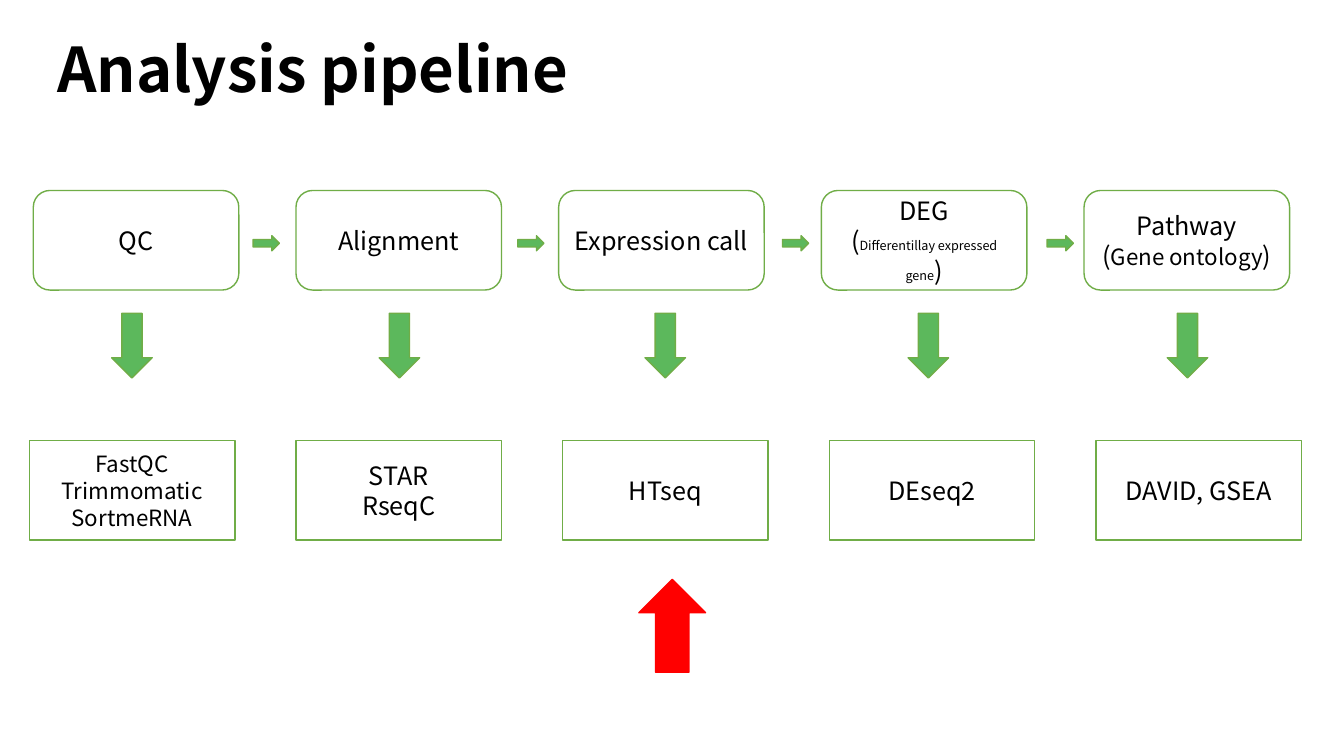
from pptx import Presentation
from pptx import util as u
from pptx.dml.color import RGBColor
from pptx.enum import shapes, text

FONT = "Noto Sans CJK KR"
BLACK = RGBColor(0x00, 0x00, 0x00)
WHITE = RGBColor(0xFF, 0xFF, 0xFF)
GREEN = RGBColor(0x5C, 0xB8, 0x5C)
OUTLINE = RGBColor(0x70, 0xAD, 0x47)
RED = RGBColor(0xFF, 0x00, 0x00)
KIND = shapes.MSO_SHAPE

TITLE = [[("Analysis pipeline", 44)]]
STEPS = [
    [[("QC", 18)]],
    [[("Alignment", 18)]],
    [[("Expression call", 18)]],
    [[("DEG", 18)], [("(", 18), ("Differentillay expressed gene", 9), (")", 18)]],
    [[("Pathway", 18)], [("(", 18), ("Gene ontology", 16), (")", 18)]],
]
TOOLS = [
    [[("FastQC", 16)], [("Trimmomatic", 16)], [("SortmeRNA", 16)]],
    [[("STAR", 18)], [("RseqC", 18)]],
    [[("HTseq", 18)]],
    [[("DEseq2", 18)]],
    [[("DAVID, GSEA", 18)]],
]
DOWN_LEFTS = [2.51, 9.25, 15.95, 22.58, 29.11]

BOX_WIDTH, BOX_HEIGHT = 5.18, 2.51
STEP_LEFT, STEP_TOP, STEP_PITCH = 0.84, 4.8, 6.62
TOOL_LEFT, TOOL_TOP, TOOL_PITCH = 0.74, 11.1, 6.72
NEXT_LEFT, NEXT_TOP, NEXT_PITCH = 6.38, 5.94, 6.67


def write(box, lines, align=text.PP_ALIGN.CENTER, bold=False, spacing=None):
    frame = box.text_frame
    frame.word_wrap = True
    frame.vertical_anchor = text.MSO_ANCHOR.MIDDLE
    for index, line in enumerate(lines):
        para = frame.paragraphs[0] if index == 0 else frame.add_paragraph()
        para.alignment = align
        para.line_spacing = spacing
        for words, size in line:
            span = para.add_run()
            span.text = words
            span.font.name = FONT
            span.font.size = u.Pt(size)
            span.font.bold = bold
            span.font.color.rgb = BLACK


def draw(page, kind, left, top, width, height, fill=GREEN, line=OUTLINE, turn=0):
    shape = page.shapes.add_shape(
        kind, u.Cm(left), u.Cm(top), u.Cm(width), u.Cm(height))
    shape.shadow.inherit = False
    shape.fill.solid()
    shape.fill.fore_color.rgb = fill
    shape.line.color.rgb = line
    shape.line.width = u.Pt(1)
    shape.rotation = turn
    return shape


def draw_row(page, kind, entries, left, top, pitch):
    for index, lines in enumerate(entries):
        box = draw(page, kind, left + index * pitch, top,
                   BOX_WIDTH, BOX_HEIGHT, fill=WHITE)
        write(box, lines)


def main():
    deck = Presentation()
    deck.slide_width, deck.slide_height = u.Cm(33.87), u.Cm(19.05)
    page = deck.slides.add_slide(deck.slide_layouts[6])

    draw_row(page, KIND.ROUNDED_RECTANGLE, STEPS, STEP_LEFT, STEP_TOP, STEP_PITCH)
    for index in range(len(STEPS) - 1):
        draw(page, KIND.RIGHT_ARROW, NEXT_LEFT + index * NEXT_PITCH, NEXT_TOP, 0.66, 0.38)

    title = page.shapes.add_textbox(u.Cm(1.19), 0, u.Cm(29.21), u.Cm(3.68))
    write(title, TITLE, align=text.PP_ALIGN.LEFT, bold=True, spacing=0.9)

    for left in DOWN_LEFTS:
        draw(page, KIND.RIGHT_ARROW, left, 8.2, 1.63, 1.02, turn=90)
    draw_row(page, KIND.RECTANGLE, TOOLS, TOOL_LEFT, TOOL_TOP, TOOL_PITCH)
    draw(page, KIND.DOWN_ARROW, 16.1, 14.6, 1.68, 2.34, fill=RED, line=RED, turn=180)

    deck.save("out.pptx")


if __name__ == "__main__":
    main()
